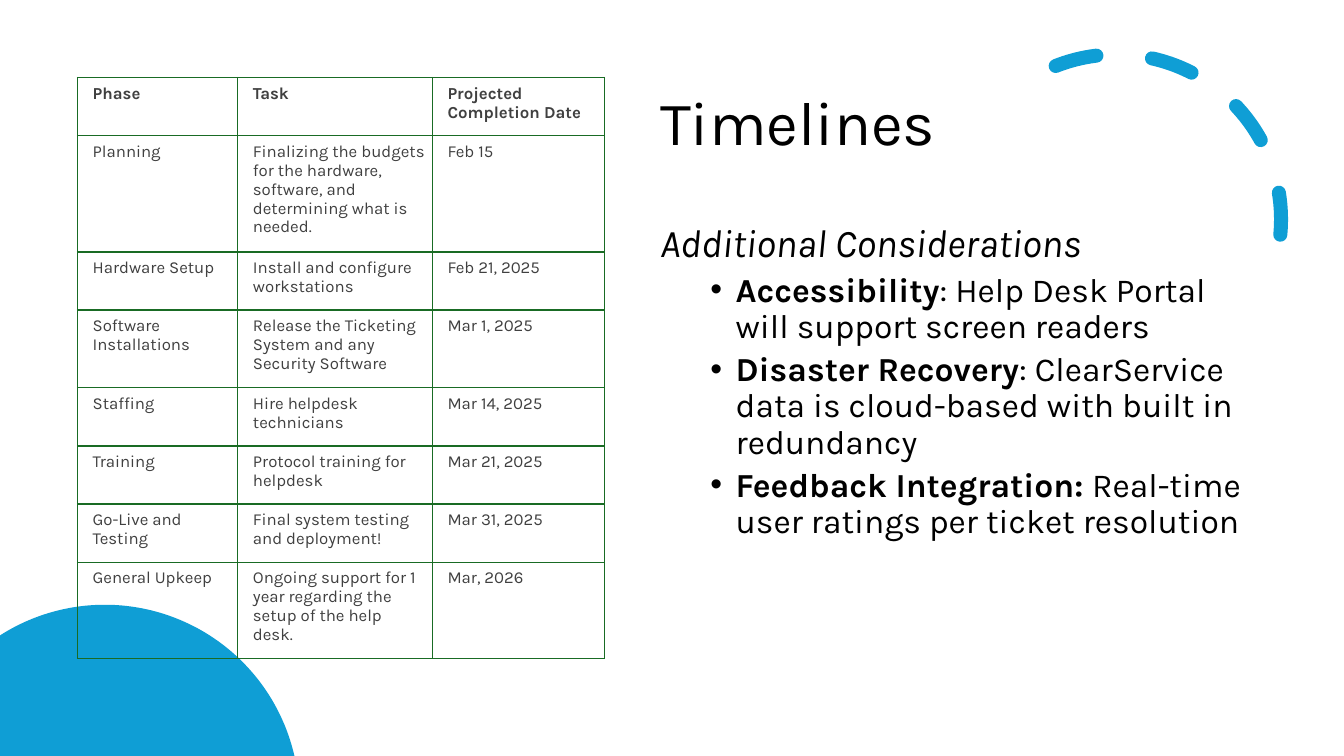
import math

import lxml.etree
import pptx
import pptx.dml.color
import pptx.enum.shapes
import pptx.enum.text
import pptx.oxml.ns
import pptx.util

Pt = pptx.util.Pt
FONT = "Karla"
BLUE = "0F9ED5"
BLACK = "000000"
GREY = "404040"
GREEN = "196B24"

COLUMNS = [114.5, 139, 123.1]
HEIGHTS = [41.5, 83.1, 41.5, 55.6, 41.5, 41.5, 41.5, 69.1]
ROWS = [
    ("Phase", "Task", "Projected Completion Date"),
    ("Planning", "Finalizing the budgets for the hardware, software, and determining what is needed.", "Feb 15"),
    ("Hardware Setup", "Install and configure workstations", "Feb 21, 2025"),
    ("Software Installations", "Release the Ticketing System and any Security Software", "Mar 1, 2025"),
    ("Staffing", "Hire helpdesk technicians", "Mar 14, 2025"),
    ("Training", "Protocol training for helpdesk", "Mar 21, 2025"),
    ("Go-Live and Testing", "Final system testing and deployment!", "Mar 31, 2025"),
    ("General Upkeep", "Ongoing support for 1 year regarding the setup of the help desk.", "Mar, 2026"),
]
CONSIDERATIONS = [
    ("Accessibility", ": Help Desk Portal will support screen readers"),
    ("Disaster Recovery", ": ClearService data is cloud-based with built in redundancy"),
    ("Feedback Integration: ", "Real-time user ratings per ticket resolution"),
]


def rgb(value):
    return pptx.dml.color.RGBColor.from_string(value)


def add_xml(parent, tag, **attrs):
    return lxml.etree.SubElement(parent, pptx.oxml.ns.qn(tag), attrs)


def add_run(p, text, size, color=BLACK, bold=False, italic=False):
    r = p.add_run()
    r.text = text
    r.font.name = FONT
    r.font.size = Pt(size)
    r.font.bold = bold
    r.font.italic = italic
    r.font.color.rgb = rgb(color)


def add_textbox(slide, left, top, width, height):
    tf = slide.shapes.add_textbox(Pt(left), Pt(top), Pt(width), Pt(height)).text_frame
    tf.word_wrap = True
    return tf


def add_bullet(p):
    pPr = p._p.get_or_add_pPr()
    pPr.set("marL", str(Pt(54)))
    pPr.set("indent", str(Pt(-18)))
    add_xml(pPr, "a:buFont", typeface="Arial")
    add_xml(pPr, "a:buChar", char="•")


def add_dashed_arc(slide, left, top, size):
    s = slide.shapes.add_shape(
        pptx.enum.shapes.MSO_SHAPE.ARC, Pt(left), Pt(top), Pt(size), Pt(size))
    s.shadow.inherit = False
    s.adjustments[0] = 144.42
    s.adjustments[1] = 0
    s.rotation = 66.1
    s._element.spPr.xfrm.set("flipH", "1")
    s.fill.background()
    s.line.color.rgb = rgb(BLUE)
    s.line.width = Pt(10)
    ln = s.line._get_or_add_ln()
    ln.set("cap", "rnd")
    add_xml(ln, "a:prstDash", val="dash")
    add_xml(ln, "a:round")


def add_corner_circle(slide, cx, cy, radius, bottom, steps=90):
    start = math.pi + math.acos(cx / radius)
    end = 2 * math.pi - math.asin((cy - bottom) / radius)
    angles = [start + (end - start) * i / steps for i in range(steps + 1)]
    points = [(Pt(cx + radius * math.cos(a)), Pt(cy + radius * math.sin(a))) for a in angles]
    builder = slide.shapes.build_freeform(0, Pt(bottom))
    builder.add_line_segments(points, close=True)
    s = builder.convert_to_shape()
    s.shadow.inherit = False
    s.fill.solid()
    s.fill.fore_color.rgb = rgb(BLUE)
    s.line.fill.background()


def add_borders(cell):
    tcPr = cell._tc.get_or_add_tcPr()
    for side in ("a:lnL", "a:lnR", "a:lnT", "a:lnB"):
        ln = add_xml(tcPr, side, w=str(Pt(1)))
        add_xml(add_xml(ln, "a:solidFill"), "a:srgbClr", val=GREEN)


def fill_cell(cell, text, bold):
    cell.margin_left = Pt(10.8)
    cell.margin_right = cell.margin_top = cell.margin_bottom = Pt(5.04)
    add_borders(cell)
    cell.fill.background()
    p = cell.text_frame.paragraphs[0]
    p.line_spacing = Pt(13.5)
    add_run(p, text, 12, GREY, bold)


def add_timeline(slide, left, top):
    frame = slide.shapes.add_table(
        len(ROWS), len(COLUMNS), Pt(left), Pt(top), Pt(sum(COLUMNS)), Pt(sum(HEIGHTS)))
    table = frame.table
    table.first_row = table.horz_banding = False
    for column, width in zip(table.columns, COLUMNS):
        column.width = Pt(width)
    for i, (row, height) in enumerate(zip(table.rows, HEIGHTS)):
        row.height = Pt(height)
        for cell, text in zip(row.cells, ROWS[i]):
            fill_cell(cell, text, bold=i == 0)


def add_title(slide):
    tf = add_textbox(slide, 464.4, 37.4, 429.8, 104.4)
    tf.vertical_anchor = pptx.enum.text.MSO_ANCHOR.MIDDLE
    p = tf.paragraphs[0]
    p.line_spacing = 0.9
    add_run(p, "Timelines", 44)


def add_considerations(slide):
    tf = add_textbox(slide, 464.4, 156.2, 429.8, 329.8)
    p = tf.paragraphs[0]
    p.line_spacing = 0.9
    p.space_before = Pt(10)
    add_run(p, "Additional Considerations", 28, italic=True)
    for topic, detail in CONSIDERATIONS:
        p = tf.add_paragraph()
        p.line_spacing = 0.9
        p.space_before = Pt(5)
        add_bullet(p)
        add_run(p, topic, 24, bold=True)
        add_run(p, detail, 24)


def main():
    prs = pptx.Presentation()
    prs.slide_width = Pt(960)
    prs.slide_height = Pt(540)
    slide = prs.slides.add_slide(prs.slide_layouts[6])
    add_dashed_arc(slide, 679.7, 38.9, 235.4)
    add_title(slide)
    add_corner_circle(slide, 74.9, 570.9, 138.9, 540)
    add_considerations(slide)
    add_timeline(slide, 55.4, 55.4)
    prs.save("out.pptx")


if __name__ == "__main__":
    main()
